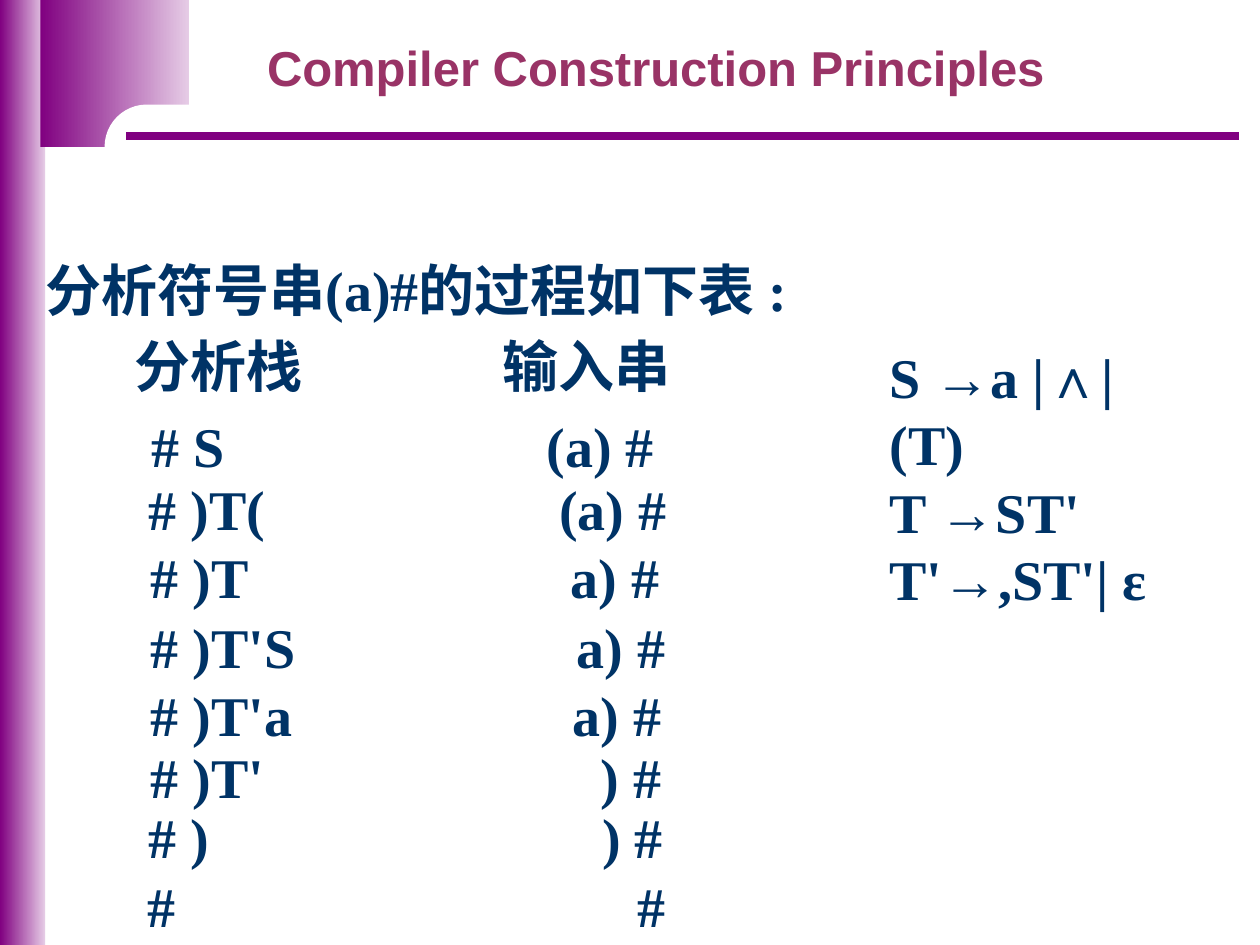
import pptx
import pptx.util
import pptx.dml.color
import pptx.enum.shapes
import pptx.enum.text
import pptx.oxml
import pptx.oxml.ns

SHAPE = pptx.enum.shapes.MSO_SHAPE
ALIGN = pptx.enum.text.PP_ALIGN
COLS, ROWS = 100, 75
STEPS = [
    ("分析栈", "输入串", 9.7, 25.8, 44.5),
    ("# S", "(a) #", 11, 32.2, 41.9),
    ("# )T(", "(a) #", 10.8, 37.2, 43.1),
    ("# )T", "a) #", 11, 42.6, 42.3),
    ("# )T'S", "a) #", 11, 48.1, 42.8),
    ("# )T'a", "a) #", 11, 53.5, 42.5),
    ("# )T'", ") #", 11, 58.4, 42.5),
    ("# )", ") #", 10.8, 63.2, 42.8),
    ("#", "#", 10.7, 68.7, 43.1),
]


def hue(code):
    return pptx.dml.color.RGBColor.from_string(code)


def node(pare, tag):
    pare.append(pptx.oxml.parse_xml(f"<{tag} {pptx.oxml.ns.nsdecls('a')}/>"))


def write(frame, lines, size=32, face="Times New Roman", tint="003366", align=ALIGN.LEFT):
    frame.word_wrap = True
    frame.auto_size = pptx.enum.text.MSO_AUTO_SIZE.NONE
    frame.vertical_anchor = pptx.enum.text.MSO_ANCHOR.TOP
    for num, line in enumerate(lines):
        para = frame.add_paragraph() if num else frame.paragraphs[0]
        para.alignment = align
        para.space_before = pptx.util.Pt(0)
        props = para._p.get_or_add_pPr()
        props.set("marL", "0")
        props.set("indent", "0")
        node(props, "a:buNone")
        run = para.add_run()
        run.text = line
        run.font.size = pptx.util.Pt(size)
        run.font.name = face
        run.font.bold = True
        run.font.color.rgb = hue(tint)


class Deck:
    """Holds the style and the current slide on a grid of columns and rows."""

    deep, pale, white, title = "800080", "E6CCE6", "FFFFFF", "993366"

    def __init__(self):
        self.show = pptx.Presentation()
        self.show.slide_width = pptx.util.Inches(10)
        self.show.slide_height = pptx.util.Inches(7.5)
        self.slide = self.show.slides.add_slide(self.show.slide_layouts[1])

    def area(self, left, top, wide, high):
        col, row = self.show.slide_width / COLS, self.show.slide_height / ROWS
        return [round(num) for num in (left * col, top * row, wide * col, high * row)]

    def shape(self, kind, *place):
        item = self.slide.shapes.add_shape(kind, *self.area(*place))
        item.shadow.inherit = False
        item.line.fill.background()
        return item

    def fade(self, *place):
        fill = self.shape(SHAPE.RECTANGLE, *place).fill
        fill.gradient()
        fill.gradient_angle = 0
        for stop, tint, spot in zip(fill.gradient_stops, (self.deep, self.pale), (0, 1)):
            stop.color.rgb = hue(tint)
            stop.position = spot

    def pill(self, *place):
        item = self.shape(SHAPE.ROUNDED_RECTANGLE, *place)
        item.adjustments[0] = 0.5
        item.fill.solid()
        item.fill.fore_color.rgb = hue(self.white)

    def rule(self, left, top, wide):
        x, y, span, _ = self.area(left, top, wide, 0)
        kind = pptx.enum.shapes.MSO_CONNECTOR.STRAIGHT
        item = self.slide.shapes.add_connector(kind, x, y, x + span, y)
        item.line.color.rgb = hue(self.deep)
        item.line.width = pptx.util.Pt(4.5)
        node(item._element.spPr, "a:effectLst")

    def hold(self, num, place, lines, **form):
        item = self.slide.placeholders[num]
        item.left, item.top, item.width, item.height = self.area(*place)
        write(item.text_frame, lines, **form)

    def text(self, line, *place, **form):
        box = self.slide.shapes.add_textbox(*self.area(*place))
        write(box.text_frame, [line], **form)

    def pair(self, stack, rest, left, top, wide):
        half = wide / 2
        self.text(stack, left, top, half, 6.4)
        self.text(rest, left + half, top, half, 6.4, align=ALIGN.RIGHT)


def main():
    deck = Deck()
    deck.fade(0, 0, 3.6, 75)
    deck.fade(3.2, 0, 11.8, 11.7)
    deck.pill(8.3, 8.3, 55.8, 6.7)
    deck.rule(10, 10.8, 88.3)
    deck.hold(0, (19.1, 2.5, 65.9, 5.7), ["Compiler Construction Principles"],
              size=28, face="Arial", tint=deck.title, align=ALIGN.CENTER)
    deck.text("分析符号串(a)#的过程如下表 :", 2.6, 19.8, 66, 6.4)
    for step in STEPS:
        deck.pair(*step)
    deck.hold(1, (69.6, 26.7, 26, 17), ["S →a |∧| (T)", "T →ST'", "T'→,ST'| ε"])
    deck.show.save("out.pptx")


if __name__ == "__main__":
    main()
